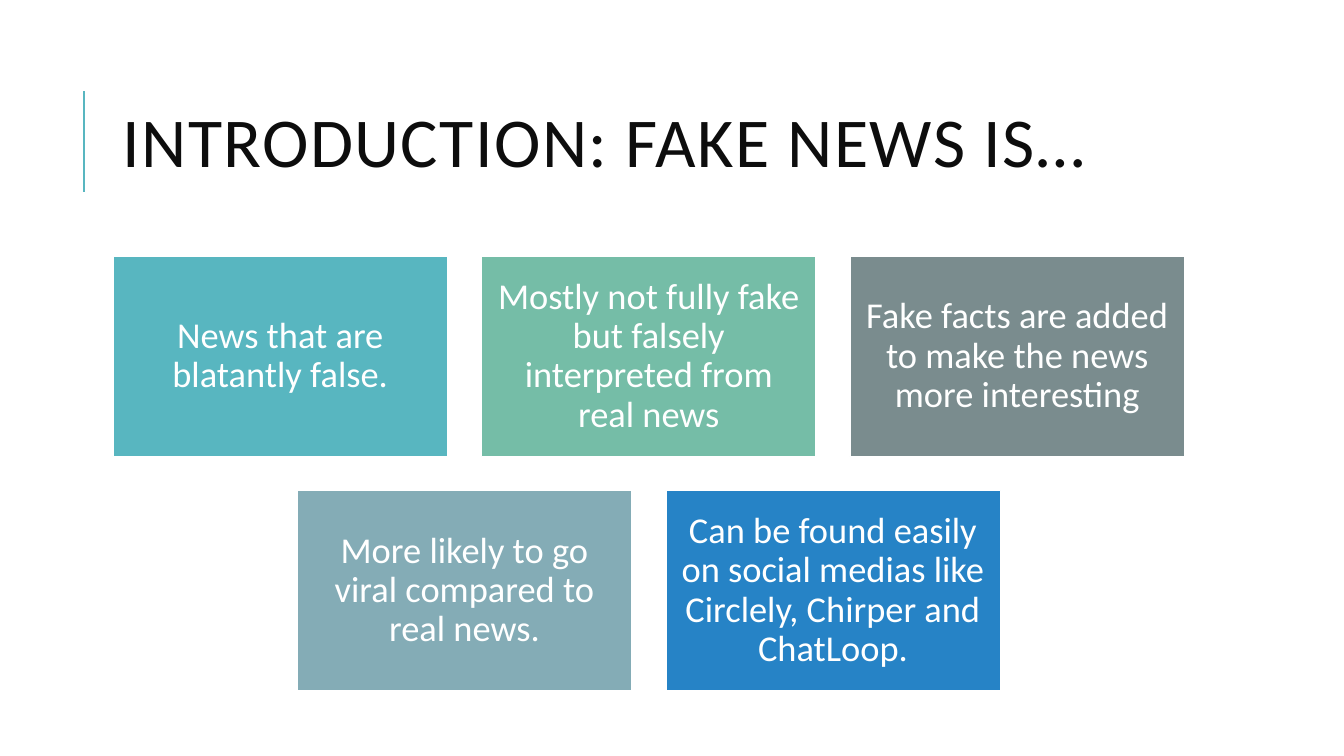
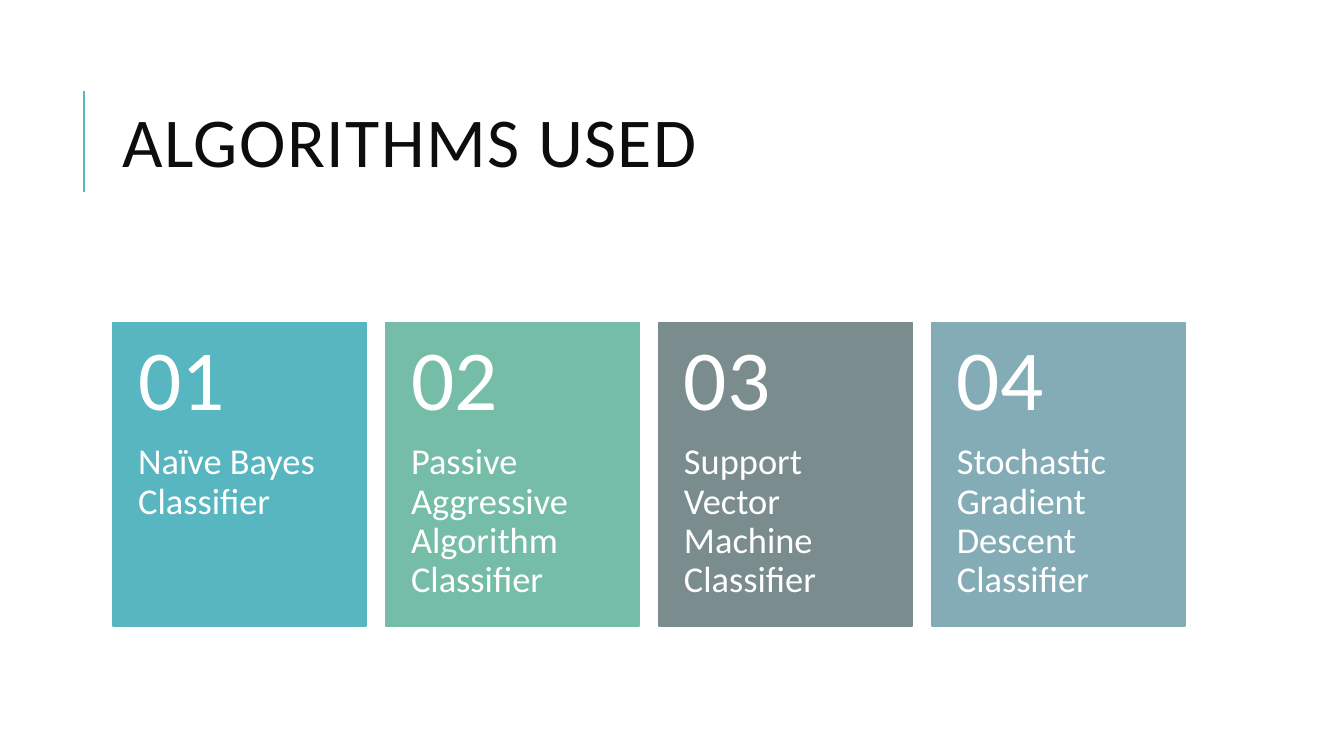
from pptx import Presentation
from pptx.dml.color import RGBColor
from pptx.enum import shapes, text
from pptx.oxml import parse_xml
from pptx.oxml.ns import nsdecls
from pptx.util import Inches, Pt

# Shared look
FONT = "Calibri"
TEAL, GREEN, GREY, STEEL, BLUE = PALETTE = (
    "58B6C0", "75BDA7", "7A8C8E", "84ACB6", "2683C6")
WHITE, INK = "FFFFFF", "0D0D0D"
SLIDE_WIDTH, SLIDE_HEIGHT = 13.33, 7.5
CONTENT_LEFT, CONTENT_WIDTH = 1.12, 10.63
BODY_SIZE = 26

# Card grids
FACT_WIDTH, FACT_HEIGHT, FACT_TOP, FACT_COLUMNS = 3.32, 1.99, 2.54, 3
STEP_WIDTH, STEP_TOP = 2.51, 3.2
NUMBER_HEIGHT, NAME_HEIGHT = 1.2, 1.81

FACTS = [
    "News that are blatantly false.",
    "Mostly not fully fake but falsely interpreted from real news",
    "Fake facts are added to make the news more interesting",
    "More likely to go viral compared to real news.",
    "Can be found easily on social medias like Circlely, Chirper and ChatLoop.",
]
ALGORITHMS = [
    "Naïve Bayes Classifier",
    "Passive Aggressive Algorithm Classifier",
    "Support Vector Machine Classifier",
    "Stochastic Gradient Descent Classifier",
]


def color(value):
    return RGBColor.from_string(value)


def column_gap(columns, width):
    """Gap that spreads full columns over the content width."""
    return (CONTENT_WIDTH - columns * width) / (columns - 1)


def row_lefts(count, width, gap):
    """Left edges of a row of cards centred in the content area."""
    row_width = count * width + (count - 1) * gap
    start = CONTENT_LEFT + (CONTENT_WIDTH - row_width) / 2
    return [start + index * (width + gap) for index in range(count)]


def write(shape, words, size, font_color=WHITE, align=text.PP_ALIGN.LEFT,
          anchor=text.MSO_ANCHOR.MIDDLE, insets=(0.1, 0.05, 0.1, 0.05),
          line_spacing=0.9):
    """Put one styled run in a shape and return the run."""
    frame = shape.text_frame
    frame.word_wrap = True
    frame.vertical_anchor = anchor
    (frame.margin_left, frame.margin_top,
     frame.margin_right, frame.margin_bottom) = map(Inches, insets)
    paragraph = frame.paragraphs[0]
    paragraph.alignment = align
    paragraph.line_spacing = line_spacing
    run = paragraph.add_run()
    run.text = words
    run.font.name = FONT
    run.font.size = Pt(size)
    run.font.color.rgb = color(font_color)
    return run


def add_text(slide, box, words, size, **style):
    shape = slide.shapes.add_textbox(*map(Inches, box))
    return write(shape, words, size, **style)


def add_card(slide, box, fill, outline):
    shape = slide.shapes.add_shape(
        shapes.MSO_SHAPE.RECTANGLE, *map(Inches, box))
    shape.shadow.inherit = False
    shape.fill.solid()
    shape.fill.fore_color.rgb = color(fill)
    shape.line.color.rgb = color(outline)
    shape.line.width = Pt(1.25)
    return shape


def add_titled_slide(presentation, title):
    slide = presentation.slides.add_slide(presentation.slide_layouts[6])
    # Accent rule beside the title
    rule = slide.shapes.add_connector(
        shapes.MSO_CONNECTOR.STRAIGHT,
        *map(Inches, (0.83, 1.9, 0.83, 0.9)))
    rule.line.color.rgb = color(TEAL)
    rule.line.width = Pt(1.5)
    rule._element.spPr.append(parse_xml(f"<a:effectLst {nsdecls('a')}/>"))
    # Title with one point of letter spacing
    run = add_text(slide, (CONTENT_LEFT, 0.64, CONTENT_WIDTH, 1.64), title,
                   50, font_color=INK, line_spacing=0.8)
    run.font._element.set("spc", "100")
    return slide


def add_fact_cards(slide):
    gap = column_gap(FACT_COLUMNS, FACT_WIDTH)
    positions = []
    for row, first in enumerate(range(0, len(FACTS), FACT_COLUMNS)):
        count = min(FACT_COLUMNS, len(FACTS) - first)
        top = FACT_TOP + row * (FACT_HEIGHT + gap)
        positions += [(left, top) for left in row_lefts(count, FACT_WIDTH, gap)]
    for (left, top), fact, fill in zip(positions, FACTS, PALETTE):
        card = add_card(slide, (left, top, FACT_WIDTH, FACT_HEIGHT), fill, WHITE)
        write(card, fact, BODY_SIZE, align=text.PP_ALIGN.CENTER,
              insets=(0.11,) * 4)


def add_algorithm_cards(slide):
    count = len(ALGORITHMS)
    lefts = row_lefts(count, STEP_WIDTH, column_gap(count, STEP_WIDTH))
    for number, (left, name, fill) in enumerate(
            zip(lefts, ALGORITHMS, PALETTE), start=1):
        add_card(slide, (left, STEP_TOP, STEP_WIDTH,
                         NUMBER_HEIGHT + NAME_HEIGHT), fill, fill)
        add_text(slide, (left, STEP_TOP + NUMBER_HEIGHT, STEP_WIDTH, NAME_HEIGHT),
                 name, BODY_SIZE, anchor=text.MSO_ANCHOR.TOP,
                 insets=(0.25, 0, 0.25, 0.36))
        add_text(slide, (left, STEP_TOP, STEP_WIDTH, NUMBER_HEIGHT),
                 f"{number:02}", 61, insets=(0.25, 0.18, 0.25, 0.18))


def main():
    presentation = Presentation()
    presentation.slide_width = Inches(SLIDE_WIDTH)
    presentation.slide_height = Inches(SLIDE_HEIGHT)
    add_fact_cards(add_titled_slide(presentation, "INTRODUCTION: FAKE NEWS IS…"))
    add_algorithm_cards(add_titled_slide(presentation, "ALGORITHMS USED"))
    presentation.save("out.pptx")


if __name__ == "__main__":
    main()
